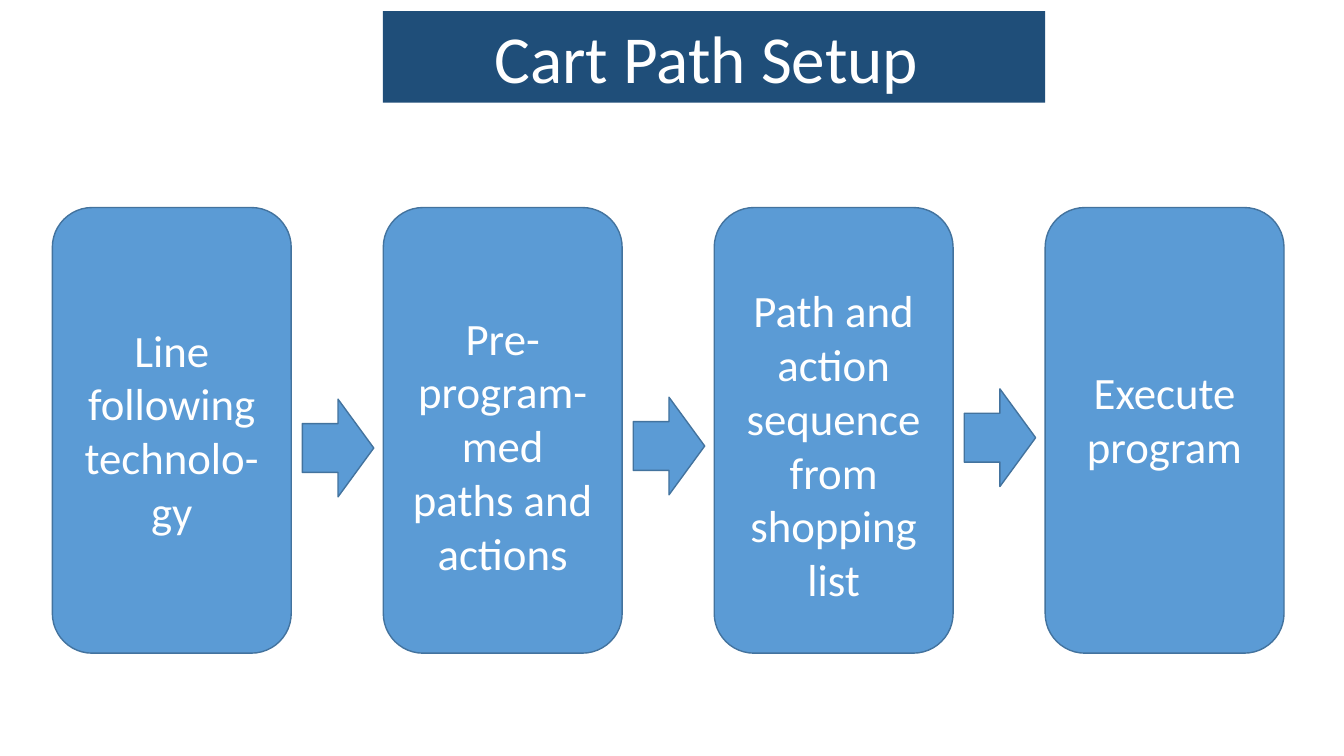
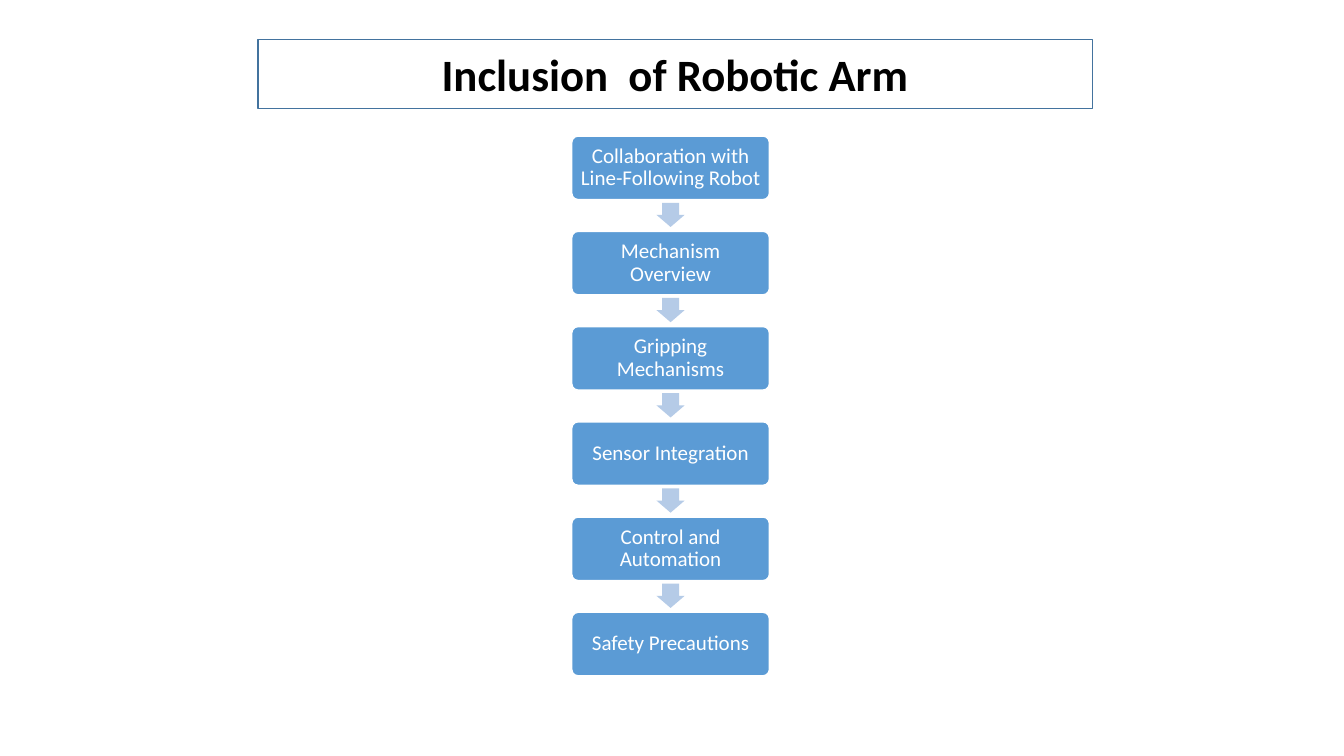
"""Build two process slides: the cart path setup and the robotic arm inclusion."""
from dataclasses import dataclass
from typing import Optional

from lxml.etree import SubElement
from pptx import Presentation
from pptx.dml.color import RGBColor
from pptx.enum.shapes import MSO_SHAPE
from pptx.enum.text import MSO_ANCHOR, PP_ALIGN
from pptx.oxml.ns import qn
from pptx.util import Cm, Pt

BLUE = RGBColor(0x5B, 0x9B, 0xD5)
OUTLINE = RGBColor(0x43, 0x73, 0x9E)
NAVY = RGBColor(0x1F, 0x4E, 0x79)
PALE = RGBColor(0xB5, 0xCB, 0xE7)
WHITE = RGBColor(0xFF, 0xFF, 0xFF)
BLACK = RGBColor(0x00, 0x00, 0x00)

TITLE_ONLY = 5
CARD_LEFT, CARD_TOP, CARD_WIDTH, CARD_HEIGHT, CARD_PITCH = 1.32, 5.23, 6.02, 11.23, 8.34
CARD_ARROW_OFFSET, CARD_ARROW_WIDTH, CARD_ARROW_HEIGHT = 6.3, 1.8, 2.46
STEP_LEFT, STEP_TOP, STEP_WIDTH, STEP_HEIGHT, STEP_PITCH = 14.41, 3.43, 4.98, 1.6, 2.4
STEP_ARROW_OFFSET, STEP_ARROW_WIDTH, STEP_ARROW_HEIGHT = 1.68, 0.71, 0.61


@dataclass(frozen=True)
class Box:
    """Position and size in centimetres."""
    left: float
    top: float
    width: float
    height: float


@dataclass(frozen=True)
class Look:
    """Fill and optional outline of a shape."""
    fill: RGBColor
    line: Optional[RGBColor] = None


@dataclass(frozen=True)
class Heading:
    """Title text with its band and type settings."""
    text: str
    box: Box
    outline: str
    look: Look
    color: RGBColor
    font: dict


@dataclass(frozen=True)
class Card:
    """Path stage with its text drop and the top of the arrow after it."""
    text: str
    text_drop: float
    arrow_top: Optional[float] = None


CARD_LOOK = Look(BLUE, OUTLINE)
STEP_LOOK = Look(BLUE, WHITE)
CARD_FONT = {"name": "Calibri", "size": Pt(32)}
STEP_FONT = {"name": "Calibri", "size": Pt(15)}

PATH_HEADING = Heading("Cart Path Setup ", Box(9.65, 0.28, 16.69, 2.31), "rect", Look(NAVY),
                       WHITE, {"name": "Calibri", "size": Pt(48)})
ARM_HEADING = Heading("Inclusion  of Robotic Arm", Box(6.5, 0.99, 21.03, 1.75),
                      "flowChartTerminator", Look(WHITE, OUTLINE), BLACK,
                      {"name": "Calibri", "size": Pt(32), "bold": True})

PATH_CARDS = (
    Card("Line following technolo-gy", 2.6, 10.06),
    Card("Pre-program-med paths and actions", 2.3, 10.01),
    Card("Path and action sequence from shopping list", 1.61, 9.8),
    Card("Execute program", 3.67),
)
ARM_STEPS = (
    "Collaboration with Line-Following Robot",
    "Mechanism Overview",
    "Gripping Mechanisms",
    "Sensor Integration",
    "Control and Automation",
    "Safety Precautions",
)


def set_all(target, values: dict) -> None:
    """Set every attribute named in the values."""
    for attribute, value in values.items():
        setattr(target, attribute, value)


def paint(shape, look: Look) -> None:
    """Apply fill and outline."""
    shape.fill.solid()
    shape.fill.fore_color.rgb = look.fill
    if look.line is None:
        shape.line.fill.background()
    else:
        shape.line.color.rgb = look.line
        shape.line.width = Pt(1)


def write(shape, text: str, font: dict, color: RGBColor, frame: dict, spacing: float = 1.0) -> None:
    """Put one centred paragraph into a shape."""
    text_frame = shape.text_frame
    set_all(text_frame, {"word_wrap": True, **frame})
    paragraph = text_frame.paragraphs[0]
    set_all(paragraph, {"text": text, "alignment": PP_ALIGN.CENTER, "line_spacing": spacing})
    run_font = paragraph.runs[0].font
    set_all(run_font, font)
    run_font.color.rgb = color


def add_block(slide, kind: MSO_SHAPE, box: Box, look: Look, adjustments: tuple = ()):
    """Add a painted preset shape without shadow."""
    block = slide.shapes.add_shape(kind, Cm(box.left), Cm(box.top), Cm(box.width), Cm(box.height))
    block.shadow.inherit = False
    for index, adjustment in enumerate(adjustments):
        block.adjustments[index] = adjustment
    paint(block, look)
    return block


def add_titled_slide(deck, heading: Heading):
    """Add a slide whose title placeholder forms the heading band."""
    slide = deck.slides.add_slide(deck.slide_layouts[TITLE_ONLY])
    title, box = slide.shapes.title, heading.box
    set_all(title, {"left": Cm(box.left), "top": Cm(box.top),
                    "width": Cm(box.width), "height": Cm(box.height)})
    geometry = SubElement(title._element.spPr, qn("a:prstGeom"), prst=heading.outline)
    SubElement(geometry, qn("a:avLst"))
    paint(title, heading.look)
    write(title, heading.text, heading.font, heading.color,
          {"vertical_anchor": MSO_ANCHOR.MIDDLE})
    return slide


def draw_path(slide) -> None:
    """Draw the row of path cards joined by arrows."""
    for index, card in enumerate(PATH_CARDS):
        left = CARD_LEFT + index * CARD_PITCH
        panel = add_block(slide, MSO_SHAPE.ROUNDED_RECTANGLE,
                          Box(left, CARD_TOP, CARD_WIDTH, CARD_HEIGHT), CARD_LOOK)
        write(panel, card.text, CARD_FONT, WHITE,
              {"vertical_anchor": MSO_ANCHOR.TOP, "margin_top": Cm(card.text_drop),
               "margin_left": Cm(0.3), "margin_right": Cm(0.3)})
        if card.arrow_top is not None:
            add_block(slide, MSO_SHAPE.RIGHT_ARROW,
                      Box(left + CARD_ARROW_OFFSET, card.arrow_top,
                          CARD_ARROW_WIDTH, CARD_ARROW_HEIGHT), CARD_LOOK)


def draw_steps(slide) -> None:
    """Draw the column of arm steps joined by arrows."""
    margins = {f"margin_{side}": Cm(0.15) for side in ("left", "top", "right", "bottom")}
    arrow_left = STEP_LEFT + (STEP_WIDTH - STEP_ARROW_WIDTH) / 2
    for index, step in enumerate(ARM_STEPS):
        top = STEP_TOP + index * STEP_PITCH
        panel = add_block(slide, MSO_SHAPE.ROUNDED_RECTANGLE,
                          Box(STEP_LEFT, top, STEP_WIDTH, STEP_HEIGHT), STEP_LOOK, (0.1,))
        write(panel, step, STEP_FONT, WHITE,
              {"vertical_anchor": MSO_ANCHOR.MIDDLE, **margins}, spacing=0.9)
        if index < len(ARM_STEPS) - 1:
            add_block(slide, MSO_SHAPE.DOWN_ARROW,
                      Box(arrow_left, top + STEP_ARROW_OFFSET,
                          STEP_ARROW_WIDTH, STEP_ARROW_HEIGHT), Look(PALE), (0.6, 0.5))


def main() -> None:
    """Build and save the deck."""
    deck = Presentation()
    set_all(deck, {"slide_width": Cm(33.87), "slide_height": Cm(19.05)})
    draw_path(add_titled_slide(deck, PATH_HEADING))
    draw_steps(add_titled_slide(deck, ARM_HEADING))
    deck.save("out.pptx")


if __name__ == "__main__":
    main()
